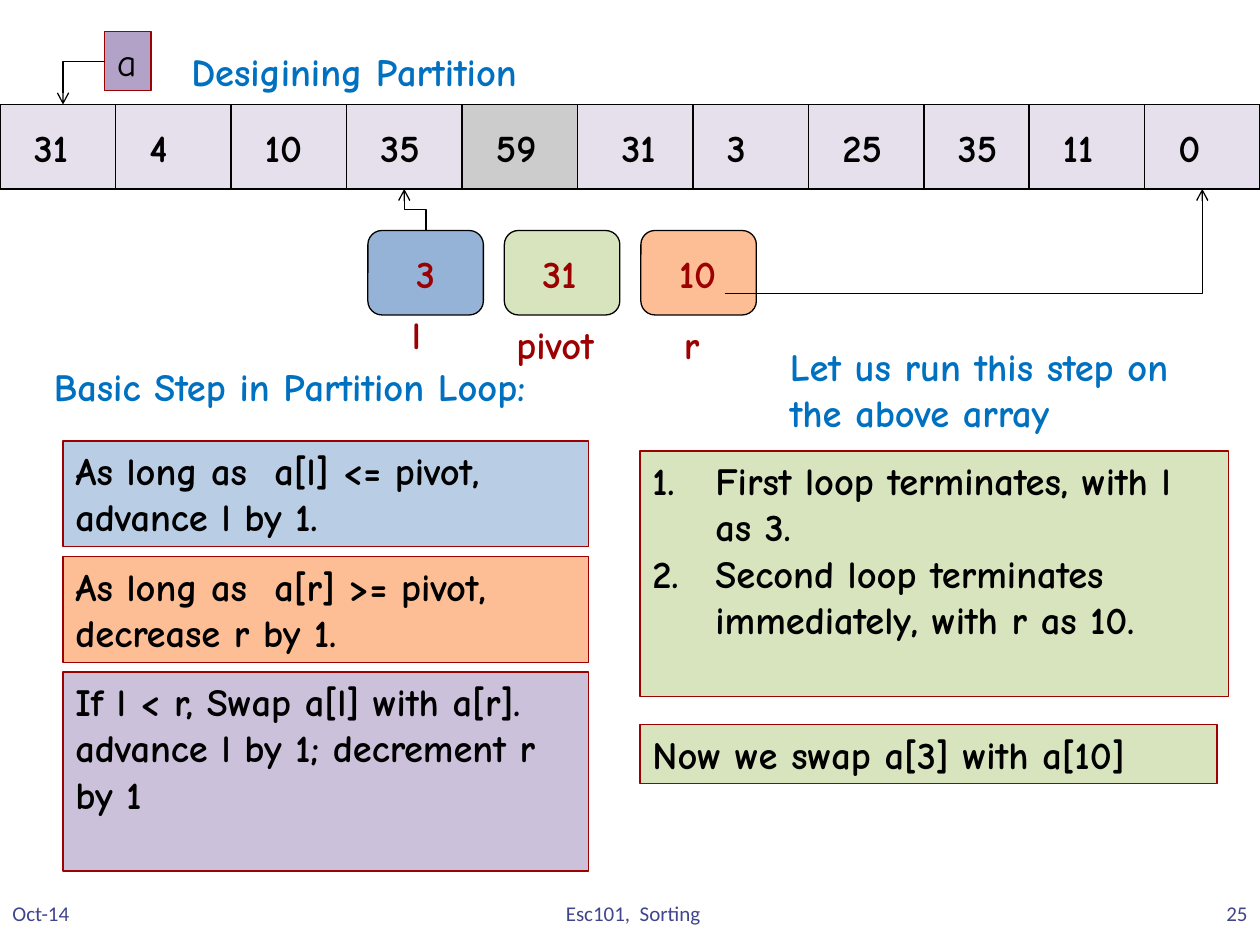
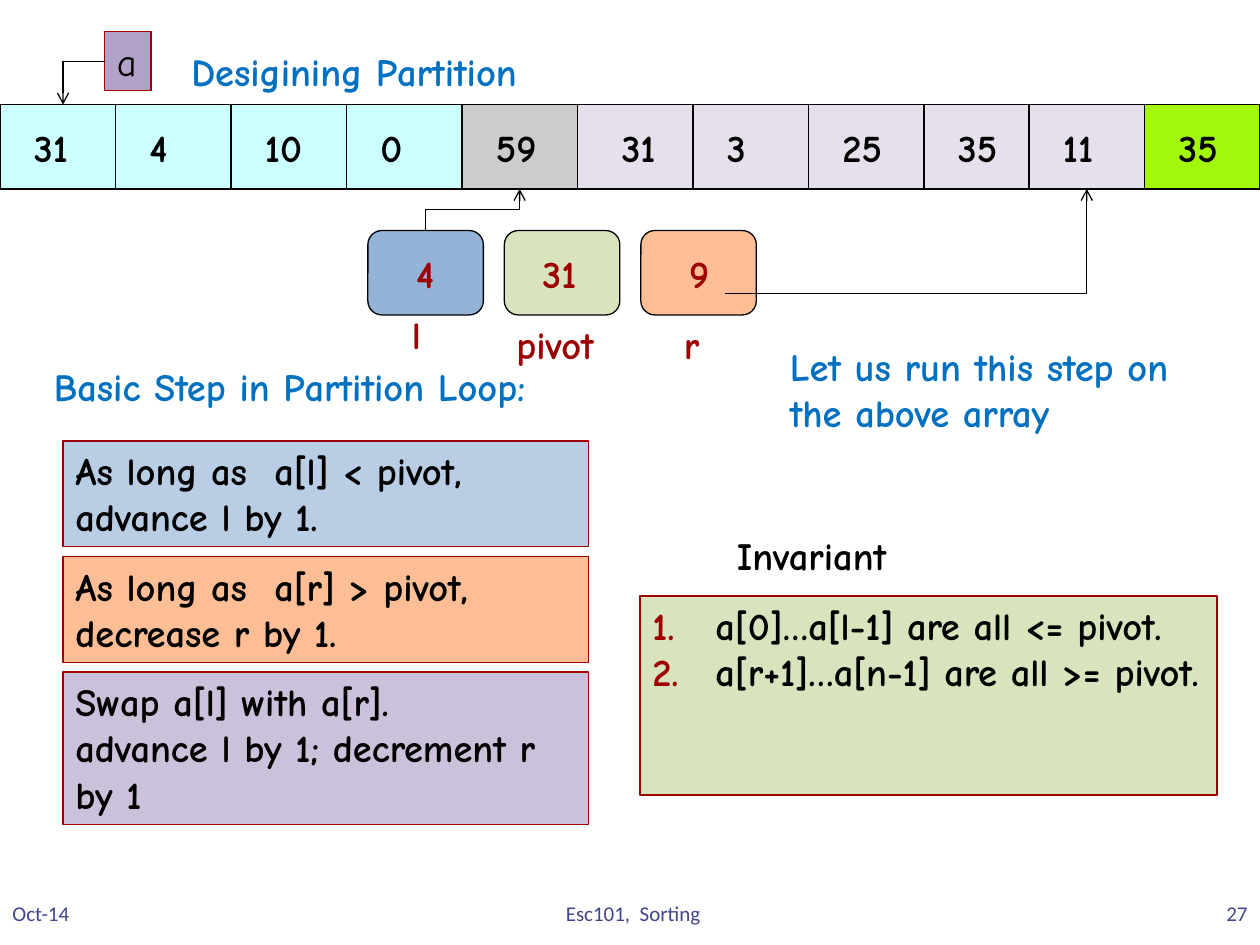
from math import cos, sin, radians
from lxml.etree import SubElement
from pptx import Presentation
from pptx.dml.color import RGBColor
from pptx.enum.shapes import MSO_SHAPE as Kind, MSO_CONNECTOR as Link
from pptx.enum.text import MSO_ANCHOR as Anchor, PP_ALIGN as Align
from pptx.oxml.ns import qn
from pptx.util import Inches, Pt

rgb = RGBColor.from_string
BLACK, RED, BLUE, NAVY = "000000", "9D0000", "0070C0", "40458C"
CYAN, GREY, PALE, LIME = "CCFFFF", "CCCCCC", "E6E0EC", "A2F808"
SKY, STEEL, PEACH = "B9CDE5", "95B3D7", "FDBD95"
GREEN, LILAC, PLUM = "D7E4BD", "CCC1DA", "B3A2C7"
CELL = 11 / 12
TOP, HIGH = 0.83, 0.67


def put(slide, at, text, tint=BLACK, fill=None, edge=RED, kind=Kind.RECTANGLE,
        size=22, font="Comic Neue", bold=True, wrap=True, anchor=Anchor.TOP,
        align=Align.LEFT, inset=0.1, mark=None):
    place = [Inches(v) for v in at]
    if fill:
        box = slide.shapes.add_shape(kind, *place)
        box.shadow.inherit = False
        box.fill.solid()
        box.fill.fore_color.rgb = rgb(fill)
        box.line.color.rgb = rgb(edge)
        box.line.width = Pt(0.75)
    else:
        box = slide.shapes.add_textbox(*place)
    frame = box.text_frame
    frame.word_wrap = wrap
    frame.vertical_anchor = anchor
    frame.margin_left = Inches(inset)
    frame.text = text
    for para in frame.paragraphs:
        para.alignment = align
        for run in para.runs:
            run.font.size = Pt(size)
            run.font.name = font
            run.font.bold = bold
            run.font.color.rgb = rgb(tint)
        if mark:
            props = para._p.get_or_add_pPr()
            props.set("marL", str(Inches(0.5)))
            props.set("indent", str(-Inches(0.5)))
            ink = SubElement(props, qn("a:buClr"))
            SubElement(ink, qn("a:srgbClr"), val=mark)
            SubElement(props, qn("a:buFont"), typeface="+mj-lt")
            SubElement(props, qn("a:buAutoNum"), type="arabicPeriod")


def arrow(slide, start, end, bend, turn=0):
    midx, midy = (start[0] + end[0]) / 2, (start[1] + end[1]) / 2
    dx, dy = (end[0] - start[0]) / 2, (end[1] - start[1]) / 2
    c, s = cos(radians(turn)), sin(radians(turn))
    across, down = dx * c + dy * s, dy * c - dx * s
    ends = midx - across, midy - down, midx + across, midy + down
    link = slide.shapes.add_connector(Link.ELBOW, *[Inches(v) for v in ends])
    link.line.color.rgb = rgb(BLACK)
    link.line.width = Pt(0.75)
    props = link._element.spPr
    if turn:
        props.find(qn("a:xfrm")).set("rot", str(turn * 60000))
    props.find(qn("a:prstGeom")).set("prst", bend)
    SubElement(props.find(qn("a:ln")), qn("a:tailEnd"), type="arrow")
    SubElement(props, qn("a:effectLst"))


deck = Presentation()
deck.slide_width, deck.slide_height = Inches(10), Inches(7.5)

pages = [
    dict(number="25", left=3, right=10,
         values=[31, 4, 10, 35, 59, 31, 3, 25, 35, 11, 0],
         fills=[PALE] * 4 + [GREY] + [PALE] * 6,
         steps=["As long as  a[l] <= pivot, advance l by 1.",
                "As long as  a[r] >= pivot, decrease r by 1.",
                "If l < r, Swap a[l] with a[r].\nadvance l by 1; decrement r by 1"],
         tall=1.58),
    dict(number="27", left=4, right=9,
         values=[31, 4, 10, 0, 59, 31, 3, 25, 35, 11, 35],
         fills=[CYAN] * 4 + [GREY] + [PALE] * 5 + [LIME],
         steps=["As long as  a[l] < pivot, advance l by 1.",
                "As long as  a[r] > pivot, decrease r by 1.",
                "Swap a[l] with a[r].\nadvance l by 1; decrement r by 1"],
         tall=1.21),
]

slides = []
for page in pages:
    slide = deck.slides.add_slide(deck.slide_layouts[6])
    slides.append(slide)

    spots = [i * CELL - (1 / 12 if i > 8 else 0) for i in range(11)]
    for i, (x, value, fill) in enumerate(zip(spots, page["values"], page["fills"])):
        put(slide, (x, TOP, CELL, HIGH), str(value), fill=fill, edge=BLACK,
            wrap=False, anchor=Anchor.MIDDLE, inset=0.35 if i == 5 else 0.27)

    marks = [(page["left"], STEEL), (31, GREEN), (page["right"], PEACH)]
    for i, (value, fill) in enumerate(marks):
        put(slide, (2.92 + i * 13 / 12, 1.83, CELL, HIGH), str(value), RED, fill,
            BLACK, Kind.ROUNDED_RECTANGLE, wrap=False, anchor=Anchor.MIDDLE,
            inset=0.27 if value > 9 else 0.35)
    for name, x, y, wide in [("l", 3.17, 2.42, 0.29), ("pivot", 4, 2.5, 0.91),
                             ("r", 5.33, 2.5, 0.35)]:
        put(slide, (x, y, wide, 0.47), name, RED, wrap=False)

    tips = [(spots[page[side]] + CELL / 2, TOP + HIGH) for side in ("left", "right")]
    arrow(slide, (3.38, 1.83), tips[0], "bentConnector3", 270)
    arrow(slide, (5.75, 2.33), tips[1], "bentConnector2")

    put(slide, (0.83, 0.25, 0.37, 0.47), "a", fill=PLUM, bold=False, wrap=False)
    arrow(slide, (0.83, 0.49), (0.5, TOP), "bentConnector2", 180)

    put(slide, (1.42, 0.33, 3.06, 0.47), "Desigining Partition", BLUE, wrap=False)
    put(slide, (0.33, 2.83, 4.64, 0.47), "Basic Step in Partition Loop:", BLUE, wrap=False)
    put(slide, (6.17, 2.67, 3.39, 0.84), "Let us run this step on the above array", BLUE)

    rows = zip(page["steps"], (SKY, PEACH, LILAC), (0.84, 0.84, page["tall"]))
    for i, (step, fill, tall) in enumerate(rows):
        put(slide, (0.5, 3.5 + i * CELL, 4.17, tall), step, fill=fill)

    for note, x, wide, align in [("Oct-14", 0, 2.08, Align.LEFT),
                                 ("Esc101,  Sorting", 3.22, 3.61, Align.CENTER),
                                 (page["number"], 7.92, 2.08, Align.RIGHT)]:
        put(slide, (x, 7, wide, 0.5), note, NAVY, size=12, font="Calibri",
            bold=False, anchor=Anchor.MIDDLE, align=align)

first, last = slides
put(first, (5.08, 3.58, 4.67, 1.95),
    "First loop terminates, with l as 3.\n"
    "Second loop terminates immediately, with r as 10.", fill=GREEN, mark=BLACK)
put(first, (5.08, 5.75, 4.58, 0.47), "Now we swap a[3] with a[10]", fill=GREEN)

put(last, (5.75, 4.17, 1.57, 0.47), "Invariant", wrap=False)
put(last, (5.08, 4.73, 4.58, 1.58),
    "a[0]…a[l-1] are all <= pivot.\na[r+1]…a[n-1] are all >= pivot.",
    fill=GREEN, mark=RED)

deck.save("out.pptx")
